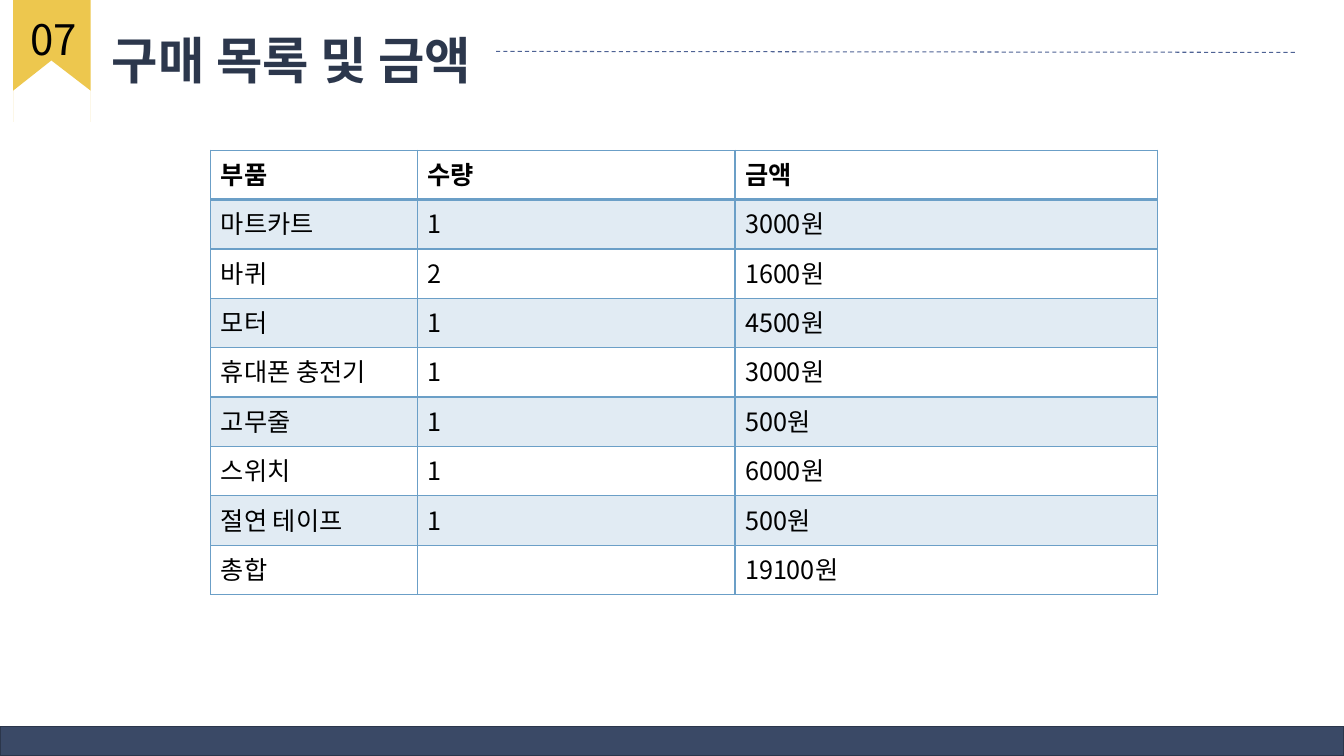
from dataclasses import dataclass

from lxml.etree import SubElement
from pptx import Presentation
from pptx.dml.color import RGBColor
from pptx.enum.dml import MSO_LINE_DASH_STYLE as Dash
from pptx.enum.shapes import MSO_CONNECTOR as Connector, MSO_SHAPE as Shape
from pptx.enum.text import MSO_ANCHOR as Anchor, PP_ALIGN as Align
from pptx.oxml.ns import qn
from pptx.util import Inches, Pt

FONT = "Noto Sans CJK KR"
COLORS = {
    "navy": "3A4966",
    "navy_edge": "2B364B",
    "title": "2C374C",
    "rule": "4E6294",
    "ribbon": "EDC74E",
    "grid": "6B9FC7",
    "text": "000000",
}


@dataclass
class Purchase:
    item: str
    quantity: str
    price: str
    is_header: bool = False


PURCHASES = [
    Purchase("부품", "수량", "금액", is_header=True),
    Purchase("마트카트", "1", "3000원"),
    Purchase("바퀴", "2", "1600원"),
    Purchase("모터", "1", "4500원"),
    Purchase("휴대폰 충전기", "1", "3000원"),
    Purchase("고무줄", "1", "500원"),
    Purchase("스위치", "1", "6000원"),
    Purchase("절연 테이프", "1", "500원"),
    Purchase("총합", "", "19100원"),
]
COLUMN_WIDTHS = (2.05, 3.15, 4.19)
ROW_HEIGHT = 0.49


def color(key: str) -> RGBColor:
    return RGBColor.from_string(COLORS[key])


def write(frame, text: str, *, size: float, fill: str = "text",
          bold: bool = False, align=Align.LEFT) -> None:
    paragraph = frame.paragraphs[0]
    paragraph.alignment = align
    paragraph.font.size = Pt(size)
    if not text:
        return
    run = paragraph.add_run()
    run.text = text
    font = run.font
    font.name, font.size, font.bold = FONT, Pt(size), bold
    font.color.rgb = color(fill)
    SubElement(font._element, qn("a:ea"), typeface=FONT)


def add_border(cell, side: str, points: float) -> None:
    properties = cell._tc.get_or_add_tcPr()
    edge = SubElement(properties, qn(f"a:ln{side}"), w=str(Pt(points)))
    solid = SubElement(edge, qn("a:solidFill"))
    SubElement(solid, qn("a:srgbClr"), val=COLORS["grid"])


def fill_cell(cell, shaded: bool) -> None:
    if not shaded:
        cell.fill.background()
        return
    cell.fill.solid()
    cell.fill.fore_color.rgb = color("grid")
    tint = cell._tc.tcPr.find(f"{qn('a:solidFill')}/{qn('a:srgbClr')}")
    SubElement(tint, qn("a:alpha"), val="20000")


def add_purchase_table(slide, purchases: list[Purchase]) -> None:
    table = slide.shapes.add_table(
        len(purchases), len(COLUMN_WIDTHS), Inches(2.09), Inches(1.49),
        Inches(sum(COLUMN_WIDTHS)), Inches(ROW_HEIGHT * len(purchases))).table
    table.horz_banding = False
    for column, width in zip(table.columns, COLUMN_WIDTHS):
        column.width = Inches(width)
    for index, (row, entry) in enumerate(zip(table.rows, purchases)):
        row.height = Inches(ROW_HEIGHT)
        weights = {"L": 1, "R": 1, "T": 2 if index == 1 else 1,
                   "B": 2 if entry.is_header else 1}
        for cell, text in zip(row.cells, (entry.item, entry.quantity, entry.price)):
            for side, points in weights.items():
                add_border(cell, side, points)
            fill_cell(cell, shaded=index % 2 == 1)
            write(cell.text_frame, text, size=18, bold=entry.is_header)


presentation = Presentation()
presentation.slide_width, presentation.slide_height = Inches(13.33), Inches(7.5)
slide = presentation.slides.add_slide(presentation.slide_layouts[5])
shapes = slide.shapes

# Footer band
footer = shapes.add_shape(Shape.RECTANGLE, 0, Inches(7.21), Inches(13.33), Inches(0.29))
footer.shadow.inherit = False
footer.fill.solid()
footer.fill.fore_color.rgb = color("navy")
footer.line.color.rgb = color("navy_edge")
footer.line.width = Pt(1)

# Notched ribbon with thin tails
outline = [(0.13, 0), (0.9, 0), (0.9, 1.21), (0.9, 0.9),
           (0.51, 0.6), (0.13, 0.9), (0.13, 1.21)]
corners = [(Inches(x), Inches(y)) for x, y in outline]
builder = shapes.build_freeform(*corners[0])
builder.add_line_segments(corners[1:], close=True)
ribbon = builder.convert_to_shape()
ribbon.shadow.inherit = False
ribbon.fill.solid()
ribbon.fill.fore_color.rgb = color("ribbon")
ribbon.line.fill.background()

# Section title
title = shapes.title
title.left, title.top = Inches(0.9), Inches(0.23)
title.width, title.height = Inches(3.87), Inches(0.71)
title.text_frame.word_wrap = False
title.text_frame.vertical_anchor = Anchor.MIDDLE
write(title.text_frame, "구매 목록 및 금액", size=36, fill="title", bold=True,
      align=Align.RIGHT)

# Dashed rule beside the title
rule = shapes.add_connector(Connector.STRAIGHT, Inches(4.92), Inches(0.51),
                            Inches(12.87), Inches(0.52))
rule.line.color.rgb = color("rule")
rule.line.width = Pt(0.75)
rule.line.dash_style = Dash.DASH
SubElement(rule._element.spPr, qn("a:effectLst"))

# Section number
number = shapes.add_textbox(Inches(0.2), Inches(0.08), Inches(0.84), Inches(0.61))
number.text_frame.word_wrap = True
write(number.text_frame, "07", size=30)

# Purchased items and prices
add_purchase_table(slide, PURCHASES)

presentation.save("out.pptx")
